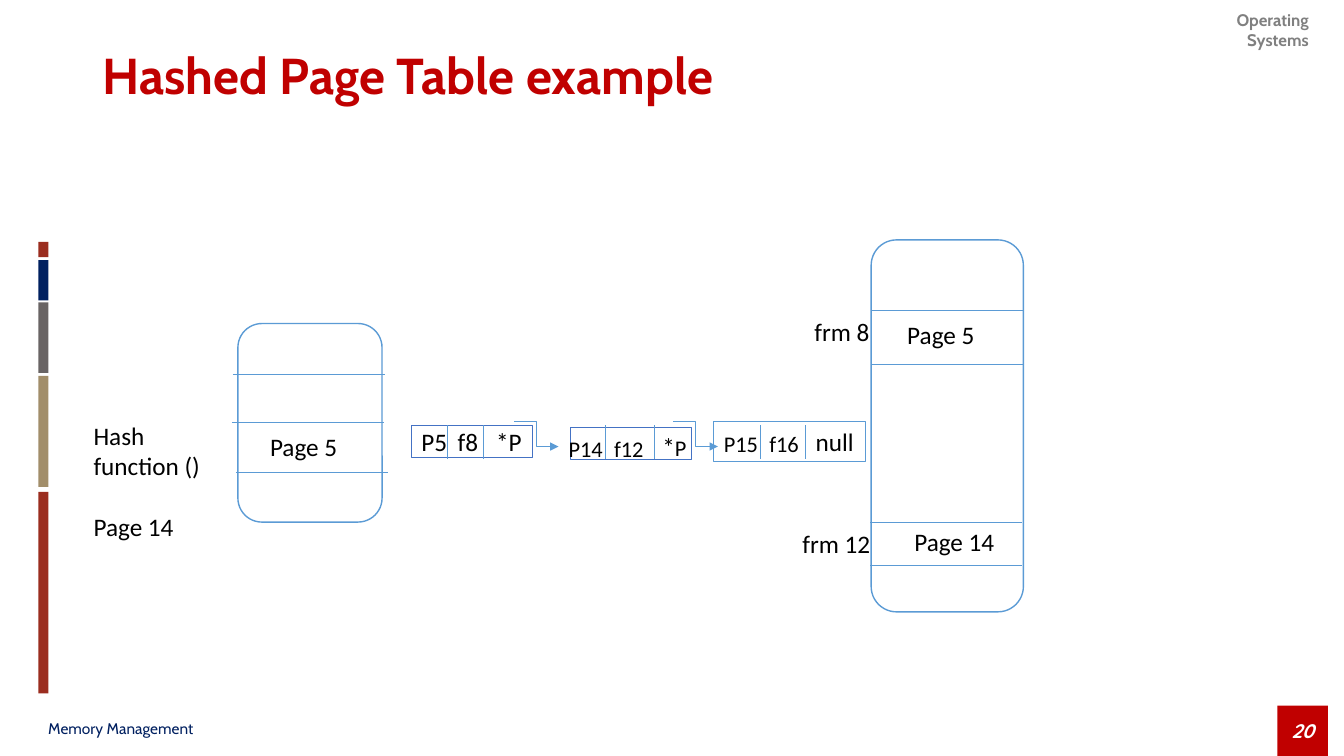
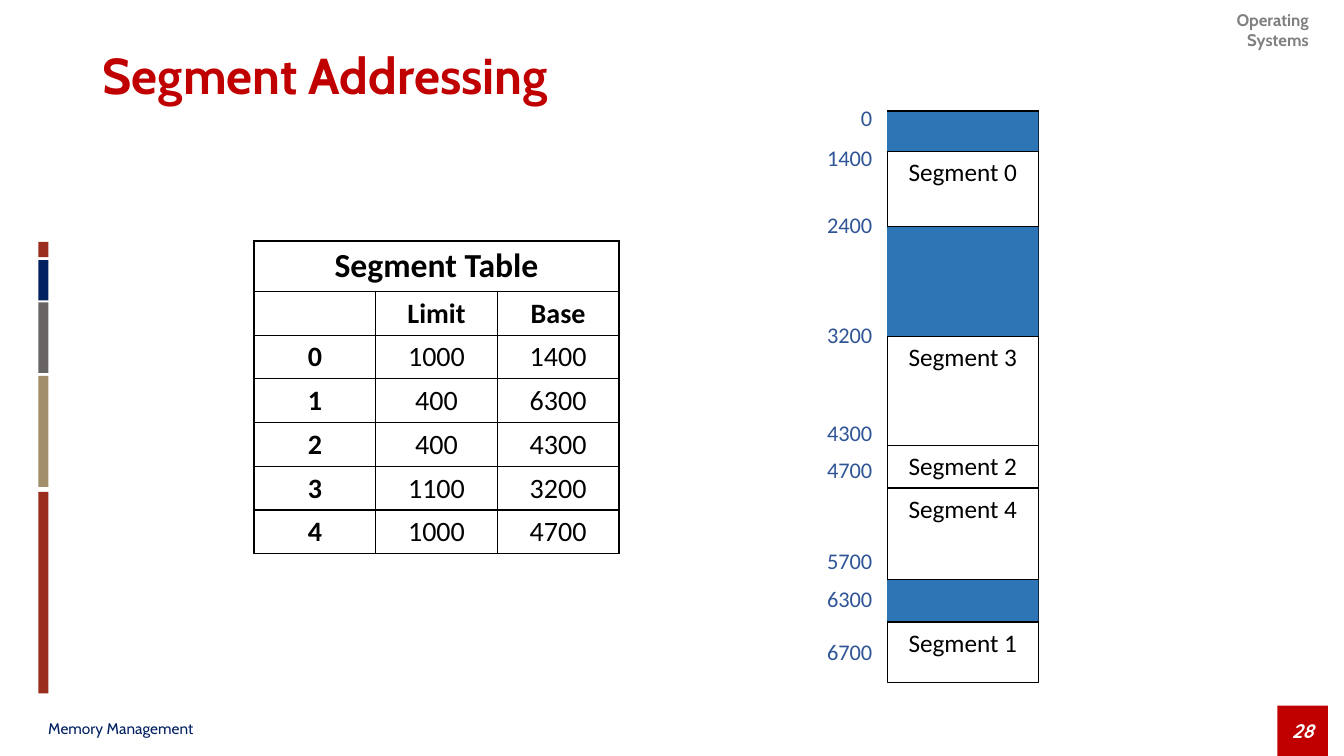
from lxml.etree import SubElement
from pptx import Presentation
from pptx.dml.color import RGBColor
from pptx.enum.shapes import MSO_CONNECTOR as Connector, MSO_SHAPE as Shape
from pptx.enum.text import MSO_ANCHOR as Anchor, PP_ALIGN as Align
from pptx.oxml import parse_xml
from pptx.oxml.ns import nsdecls, qn
from pptx.util import Inches, Pt

# Shared style
TITLE_FONT, BODY_FONT, NUMBER_FONT = "Cabin", "Calibri", "Quicksand"
RED, NAVY, BRICK, GRAY, SAND = "C00000", "002060", "9B2D1F", "696464", "A28E6A"
BLACK, WHITE, HEADER_GRAY = "000000", "FFFFFF", "808080"
SKY, NODE_BLUE, FREE_BLUE, ADDRESS_BLUE = "5B9BD5", "4472C4", "2E75B6", "2F5597"
SIDE_BANDS = [(2.4, 0.15, BRICK), (2.58, 0.4, NAVY), (3, 0.7, GRAY),
              (3.73, 1.1, SAND), (4.88, 2, BRICK)]


def color(value):
    return RGBColor.from_string(value)


def write(frame, content, size=18, font=BODY_FONT, ink=BLACK, bold=False, italic=False,
          align=Align.LEFT, anchor=Anchor.TOP, inset=(0.1, 0.05), wrap=True,
          before=0, line_spacing=None):
    """Each line of content is a paragraph; a list holds (text, size) runs."""
    frame.word_wrap = wrap
    frame.vertical_anchor = anchor
    frame.margin_left = frame.margin_right = Inches(inset[0])
    frame.margin_top = frame.margin_bottom = Inches(inset[1])
    lines = content.split("\n") if isinstance(content, str) else [content]
    for index, line in enumerate(lines):
        paragraph = frame.add_paragraph() if index else frame.paragraphs[0]
        paragraph.alignment = align
        if index:
            paragraph.space_before = Pt(before)
        if line_spacing:
            paragraph.line_spacing = line_spacing
        for text, run_size in [(line, size)] if isinstance(line, str) else line:
            run = paragraph.add_run()
            run.text = text
            run.font.size, run.font.name = Pt(run_size), font
            run.font.bold, run.font.italic = bold, italic
            run.font.color.rgb = color(ink)


def add_text(slide, content, left, top, width, height, **style):
    box = slide.shapes.add_textbox(Inches(left), Inches(top), Inches(width), Inches(height))
    write(box.text_frame, content, **style)


def add_box(slide, left, top, width, height, fill=WHITE, line=None, weight=1,
            kind=Shape.RECTANGLE):
    shape = slide.shapes.add_shape(kind, Inches(left), Inches(top),
                                   Inches(width), Inches(height))
    shape.shadow.inherit = False
    shape.fill.solid()
    shape.fill.fore_color.rgb = color(fill)
    if line:
        shape.line.color.rgb = color(line)
        shape.line.width = Pt(weight)
    else:
        shape.line.fill.background()
    return shape


def add_line(slide, x1, y1, x2, y2, ink=SKY, weight=0.5, kind=Connector.STRAIGHT,
             arrow=False):
    line = slide.shapes.add_connector(kind, Inches(x1), Inches(y1), Inches(x2), Inches(y2))
    line.line.color.rgb = color(ink)
    line.line.width = Pt(weight)
    if arrow:
        SubElement(line.line._get_or_add_ln(), qn("a:tailEnd"), type="triangle")
    SubElement(line._element.spPr, qn("a:effectLst"))


def add_base_slide(presentation, title, number):
    """Blank slide with title, header, side bands and footer."""
    slide = presentation.slides.add_slide(presentation.slide_layouts[6])
    add_text(slide, "Operating Systems", 11.88, 0.05, 1.2, 0.5, size=12, font=TITLE_FONT,
             ink=HEADER_GRAY, bold=True, align=Align.RIGHT)
    badge = add_box(slide, 12.67, 7, 0.5, 0.5, RED)
    write(badge.text_frame, str(number), size=14, font=NUMBER_FONT, ink=WHITE, bold=True,
          italic=True, align=Align.CENTER, anchor=Anchor.MIDDLE)
    add_text(slide, "Memory Management", 0.38, 7.06, 4.4, 0.33, size=11, font=TITLE_FONT,
             ink=NAVY, anchor=Anchor.MIDDLE)
    for top, height, fill in SIDE_BANDS:
        add_box(slide, 0.38, top, 0.1, height, fill)
    add_text(slide, title, 0.92, 0.05, 11.5, 1.45, size=36, font=TITLE_FONT, ink=RED,
             bold=True, anchor=Anchor.MIDDLE, line_spacing=0.9)
    return slide


def add_store(slide, left, top, width, height, dividers, labels):
    """Rounded store; dividers and labels are offsets from its corner."""
    add_box(slide, left, top, width, height, line=SKY, kind=Shape.ROUNDED_RECTANGLE)
    for dx, dy in dividers:
        add_line(slide, left + dx, top + dy, left + dx + 1.51, top + dy)
    for text, dx, dy in labels:
        add_text(slide, text, left + dx, top + dy, 1, 0.4)


def add_node(slide, left, top, width, height, line, weight, text_top, dividers, fields):
    """Chain node; dividers and fields are offsets from its left side."""
    add_box(slide, left, top, width, height, line=line, weight=weight)
    for dx in dividers:
        add_line(slide, left + dx, 4.22, left + dx, 4.55)
    for dx, runs in fields:
        add_text(slide, runs, left + dx, text_top, 0.5, 0.3, inset=(0, 0), wrap=False,
                 anchor=Anchor.BOTTOM)


def build_hash_slide(presentation):
    slide = add_base_slide(presentation, "Hashed Page Table example", 20)

    # Physical memory and hash table
    add_store(slide, 8.64, 2.38, 1.51, 3.69,
              [(0, 0.7), (0, 1.23), (-0.01, 2.8), (-0.01, 3.23)],
              [("Page 5", 0.26, 0.74), ("Page 14", 0.33, 2.79),
               ("frm 8", -0.66, 0.71), ("frm 12", -0.78, 2.81)])
    add_store(slide, 2.36, 3.21, 1.43, 1.97,
              [(-0.05, 0.5), (-0.06, 0.98), (-0.02, 1.48)], [("Page 5", 0.22, 1.02)])
    add_text(slide, "Hash function ()\nPage 14", 0.83, 4.12, 1.34, 1.31, before=22)

    # Collision chain
    add_node(slide, 4.08, 4.22, 1.2, 0.32, NODE_BLUE, 1, 4.23, [0.36, 0.71],
             [(0.1, [("P5", 18)]), (0.46, [("f8", 18)]), (0.84, [("*P", 18)])])
    add_node(slide, 5.66, 4.24, 1.2, 0.32, NODE_BLUE, 1, 4.28, [0.34, 0.83],
             [(-0.02, [("P14", 16)]), (0.43, [("f12", 16)]), (0.91, [("*", 18), ("P", 16)])])
    add_node(slide, 7.08, 4.18, 1.5, 0.4, SKY, 0.5, 4.23, [0.46, 0.91],
             [(0.1, [("P15", 16)]), (0.55, [("f16", 16)]), (1.01, [("null", 18)])])
    for left in (5.1, 6.68):
        add_line(slide, left, 4.18, left + 0.44, 4.43, kind=Connector.ELBOW, arrow=True)


def add_memory_map(slide, left, top, width, bands, addresses):
    """Stack of (height, label) bands; a band without label is free."""
    add_box(slide, left, top, width, sum(height for height, _ in bands), line=BLACK)
    y = top
    edges = []
    for height, label in bands:
        if label:
            add_text(slide, label, left, y, width, height, align=Align.CENTER)
        else:
            add_box(slide, left, y, width, height, FREE_BLUE)
        edges.append(y)
        y += height
    for edge in edges:
        add_line(slide, left, edge, left + width, edge, BLACK, 1)
    for address, middle in addresses:
        add_text(slide, address, left - 1.05, middle - 0.2, 1, 0.4, size=16,
                 ink=ADDRESS_BLUE, align=Align.RIGHT, anchor=Anchor.MIDDLE)


def style_cell(cell):
    cell.fill.solid()
    cell.fill.fore_color.rgb = color(WHITE)
    properties = cell._tc.get_or_add_tcPr()
    for index, side in enumerate("LRTB"):
        properties.insert(index, parse_xml(
            f'<a:ln{side} {nsdecls("a")} w="12700"><a:solidFill>'
            f'<a:srgbClr val="{BLACK}"/></a:solidFill></a:ln{side}>'))


def add_segment_table(slide, left, top, width, rows):
    heights = [0.5] + [0.43] * (len(rows) - 1)
    frame = slide.shapes.add_table(len(rows), 3, Inches(left), Inches(top),
                                   Inches(width), Inches(sum(heights)))
    table = frame.table
    for column in table.columns:
        column.width = Inches(width / 3)
    for i, values in enumerate(rows):
        table.rows[i].height = Inches(heights[i])
        for j, value in enumerate(values):
            cell = table.cell(i, j)
            style_cell(cell)
            if value:
                write(cell.text_frame, value, size=20 if i else 24,
                      bold=i < 2 or j == 0, align=Align.CENTER)
    table.cell(0, 0).merge(table.cell(0, 2))


def build_segment_slide(presentation):
    slide = add_base_slide(presentation, "Segment Addressing", 28)
    add_memory_map(
        slide, 8.8, 1.1, 1.5,
        [(0.4, ""), (0.75, "Segment 0"), (1.09, ""), (1.08, "Segment 3"),
         (0.42, "Segment 2"), (0.91, "Segment 4"), (0.42, ""), (0.6, "Segment 1")],
        [("0", 1.17), ("1400", 1.56), ("2400", 2.23), ("3200", 3.32), ("4300", 4.29),
         ("4700", 4.66), ("5700", 5.56), ("6300", 5.94), ("6700", 6.46)])
    add_segment_table(
        slide, 2.52, 2.39, 3.62,
        [("Segment Table", "", ""), ("", "Limit", "Base"),
         ("0", "1000", "1400"), ("1", "400", "6300"), ("2", "400", "4300"),
         ("3", "1100", "3200"), ("4", "1000", "4700")])


def main():
    presentation = Presentation()
    presentation.slide_width, presentation.slide_height = Inches(13.33), Inches(7.5)
    build_hash_slide(presentation)
    build_segment_slide(presentation)
    presentation.save("out.pptx")


if __name__ == "__main__":
    main()
